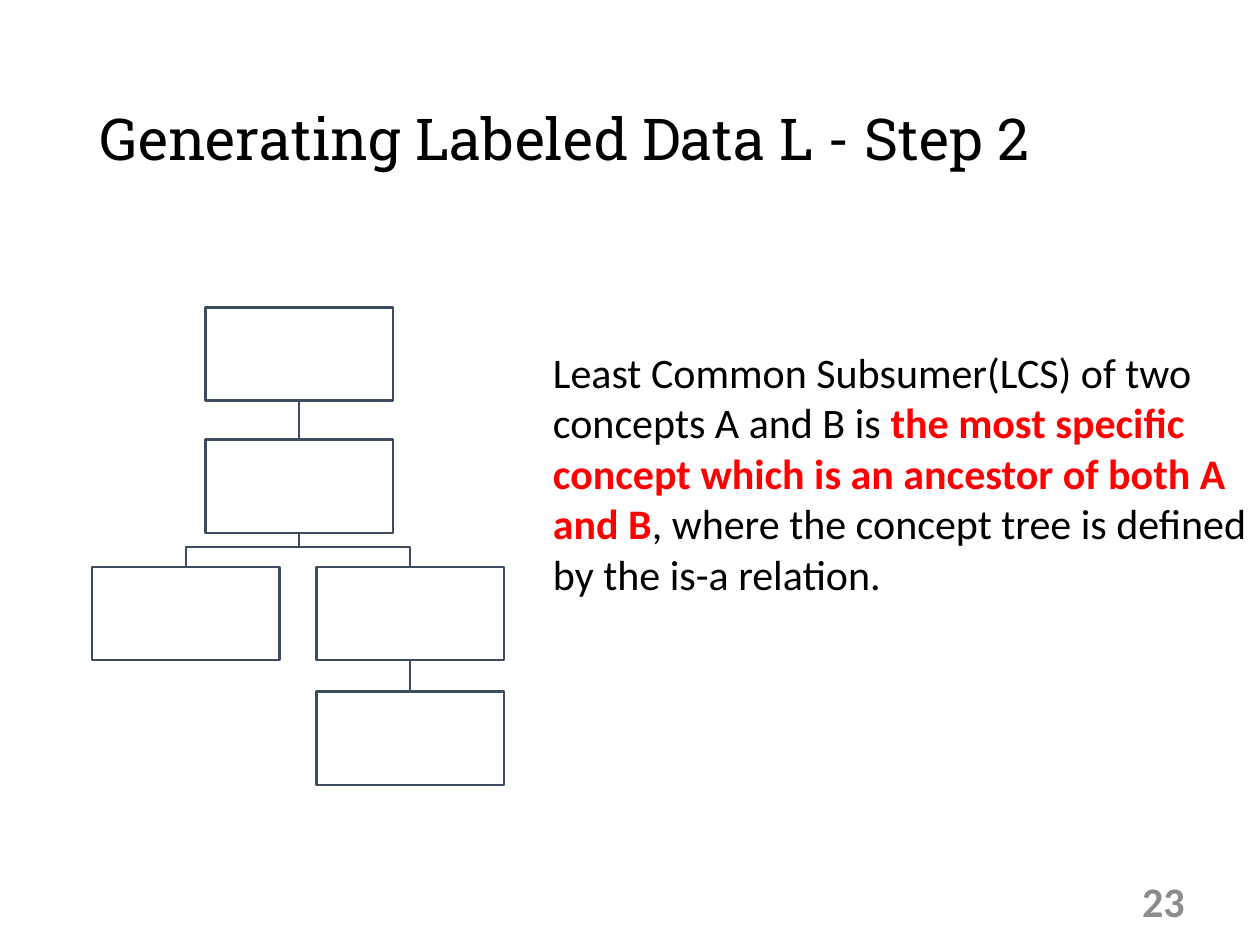
from lxml import etree
from pptx import Presentation
from pptx.dml.color import RGBColor
from pptx.enum.shapes import MSO_CONNECTOR, MSO_SHAPE
from pptx.enum.text import MSO_ANCHOR, PP_ALIGN
from pptx.oxml.ns import qn
from pptx.util import Inches, Pt

RECTANGLE = MSO_SHAPE.RECTANGLE
STRAIGHT = MSO_CONNECTOR.STRAIGHT
MIDDLE, TOP = MSO_ANCHOR.MIDDLE, MSO_ANCHOR.TOP
LEFT, RIGHT = PP_ALIGN.LEFT, PP_ALIGN.RIGHT
BOTTOM_SITE, TOP_SITE = 2, 0

COLORS = {"text": "000000", "accent": "FF0000", "number": "8C8C8C",
          "line": "3E4C60", "box": "FFFFFF"}

# Content: text runs are (text, color, bold)
TITLE = [("Generating Labeled Data L - Step 2", "text", False)]
DEFINITION = [
    ("Least Common Subsumer(LCS) of two concepts A and B is ", "text", False),
    ("the most specific concept which is an ancestor of both A and B", "accent", True),
    (", where the concept tree is defined by the is-a relation.", "text", False),
]
PAGE_NUMBER = [("23", "number", True)]

# Concept tree: left and top of each box, then parent-child links
BOX_WIDTH, BOX_HEIGHT = 1.49, 0.74
ELBOW_DROP = 0.11
CONCEPTS = {
    "root": (1.63, 2.44),
    "subsumer": (1.63, 3.49),
    "left child": (0.73, 4.5),
    "right child": (2.51, 4.5),
    "grandchild": (2.51, 5.49),
}
LINKS = [("root", "subsumer"), ("subsumer", "left child"),
         ("subsumer", "right child"), ("right child", "grandchild")]


def color(name):
    return RGBColor.from_string(COLORS[name])


def write(shape, runs, size, font, anchor=TOP, align=LEFT):
    frame = shape.text_frame
    frame.word_wrap = True
    frame.vertical_anchor = anchor
    paragraph = frame.paragraphs[0]
    paragraph.alignment = align
    for text, color_name, bold in runs:
        run = paragraph.add_run()
        run.text = text
        run.font.name = font
        run.font.size = Pt(size)
        run.font.bold = bold
        run.font.color.rgb = color(color_name)
    return paragraph


def set_line(shape, width):
    shape.line.color.rgb = color("line")
    shape.line.width = Pt(width)


def add_concept(shapes, left, top):
    box = shapes.add_shape(RECTANGLE, Inches(left), Inches(top),
                           Inches(BOX_WIDTH), Inches(BOX_HEIGHT))
    box.shadow.inherit = False
    box.fill.solid()
    box.fill.fore_color.rgb = color("box")
    set_line(box, 1.5)
    return box


def add_link(shapes, parent, child):
    start_x, end_x = (box.left + box.width // 2 for box in (parent, child))
    start_y, end_y = parent.top + parent.height, child.top
    if start_x == end_x:
        link = shapes.add_connector(STRAIGHT, start_x, start_y, end_x, end_y)
        link.begin_connect(parent, BOTTOM_SITE)
        link.end_connect(child, TOP_SITE)
        etree.SubElement(link._element.spPr, qn("a:effectLst"))
        set_line(link, 1)
        return
    bend_y = start_y + Inches(ELBOW_DROP)
    builder = shapes.build_freeform(start_x, start_y)
    builder.add_line_segments(
        [(start_x, bend_y), (end_x, bend_y), (end_x, end_y)], close=False)
    elbow = builder.convert_to_shape()
    elbow.shadow.inherit = False
    elbow.fill.background()
    set_line(elbow, 1)


def add_text(shapes, left, top, width, height):
    return shapes.add_textbox(Inches(left), Inches(top), Inches(width), Inches(height))


def main():
    presentation = Presentation()
    presentation.slide_width, presentation.slide_height = Inches(10), Inches(7.5)
    slide = presentation.slides.add_slide(presentation.slide_layouts[5])
    shapes = slide.shapes

    # Title
    title = shapes.title
    title.left, title.top = Inches(0.69), Inches(0.4)
    title.width, title.height = Inches(8.62), Inches(1.45)
    write(title, TITLE, 33, "Roboto Slab", MIDDLE).line_spacing = 0.9

    # Concept tree
    boxes = {name: add_concept(shapes, *place) for name, place in CONCEPTS.items()}
    for parent, child in LINKS:
        add_link(shapes, boxes[parent], boxes[child])

    # Definition and page number
    write(add_text(shapes, 4.29, 2.7, 5.71, 2.52), DEFINITION, 24, "Calibri")
    write(add_text(shapes, 7.17, 6.95, 2.33, 0.4), PAGE_NUMBER, 24, "Calibri",
          MIDDLE, RIGHT)

    presentation.save("out.pptx")


if __name__ == "__main__":
    main()
